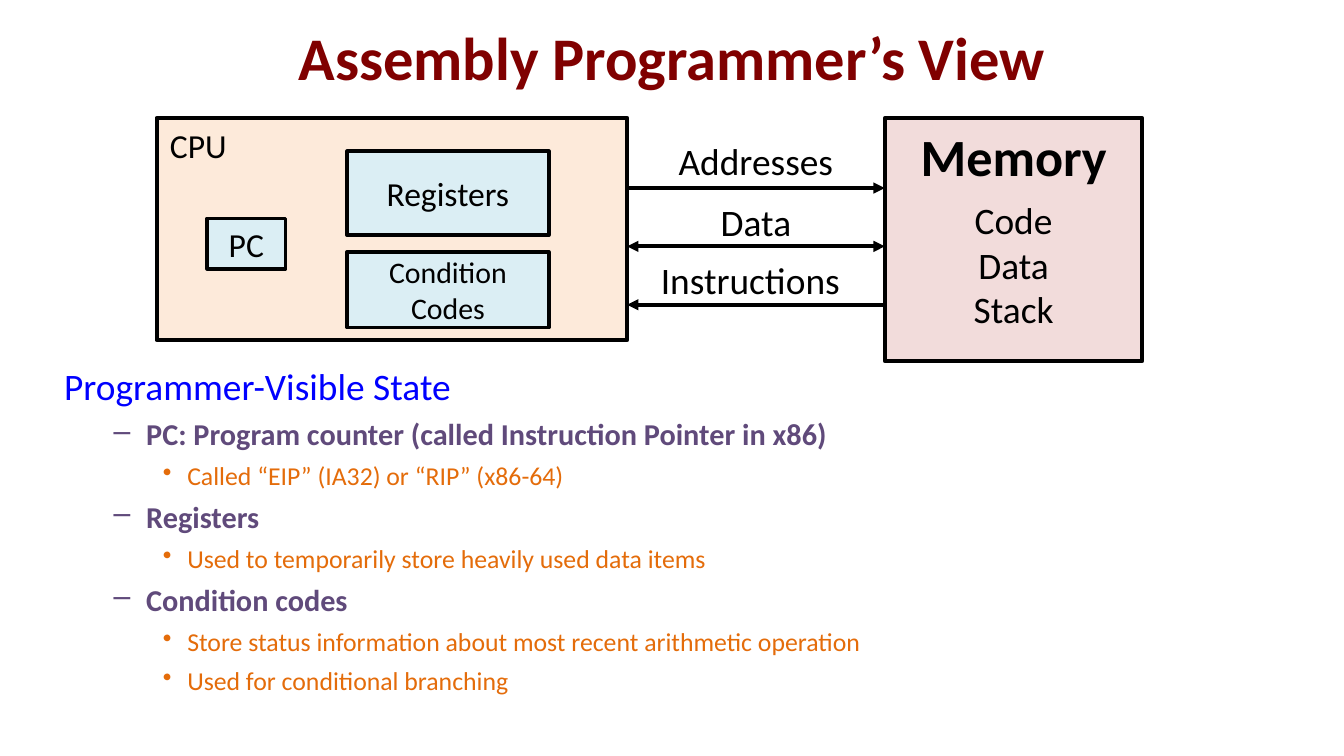
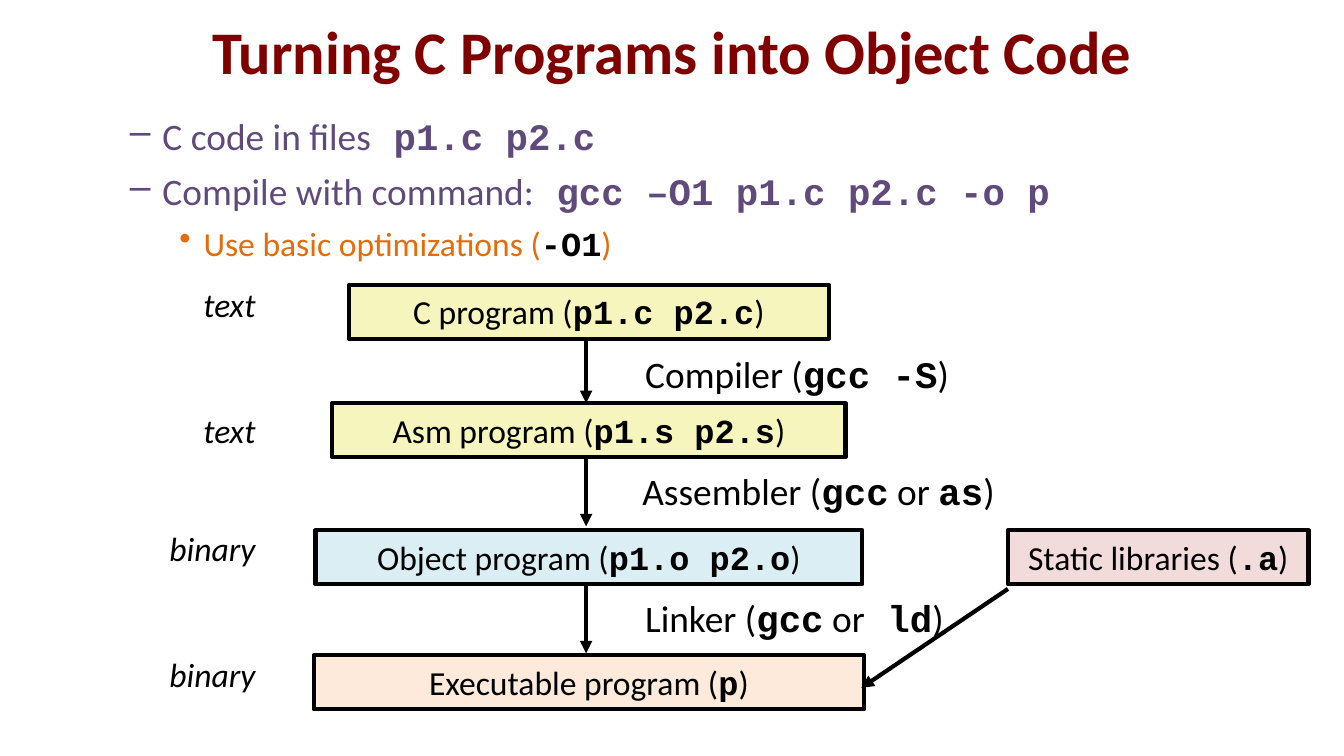
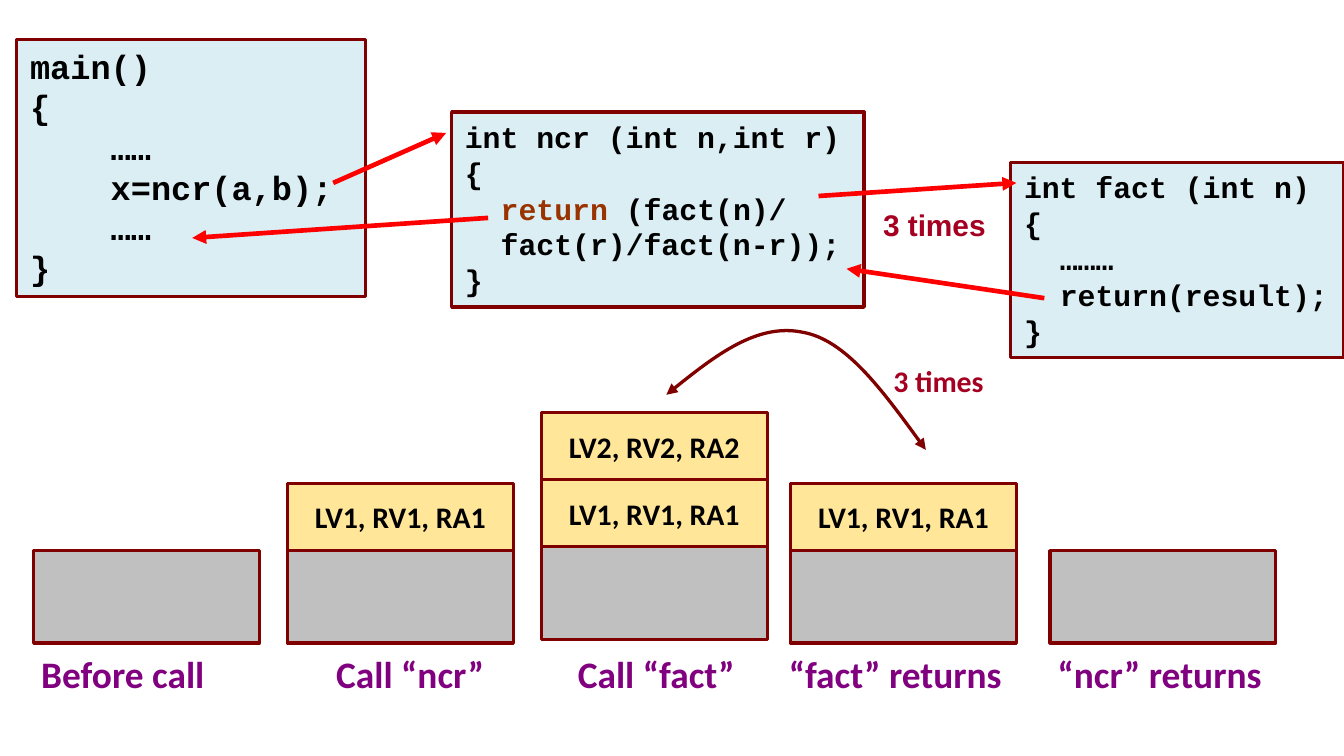
from pptx import Presentation
from pptx.dml.color import RGBColor as Rgb
from pptx.enum.shapes import MSO_CONNECTOR as Conn, MSO_SHAPE as Kind
from pptx.enum.text import MSO_ANCHOR as Anchor, PP_ALIGN as Align
from pptx.oxml.ns import qn
from pptx.util import Pt
from lxml.etree import SubElement as Sub

# ---- Shared look ----
HUES = {"ink": "000000", "wine": "800000", "blue": "0000FF", "plum": "604A7B",
        "rust": "E46C0A", "peach": "FDEADA", "sky": "DBEEF4", "rose": "F2DCDB",
        "lemon": "F6F5BD", "gold": "FFE699", "gray": "C0C0C0", "red": "FF0000",
        "brown": "993300", "ruby": "A50021", "grape": "800080"}
SANS, MONO = "Calibri", "Courier New"
# Outline level: left margin, first-line indent, bullet
LEVELS = [(18, -18, None), (44, -17.5, "–"), (66, -13, "•")]

# ---- Slide 1 content ----
VIEW = "Assembly Programmer’s View"
PARTS = [  # text, box, fill, line width, format
    ("CPU", (84, 63.25, 252, 119), "peach", 2.25, dict(mid=False, wrap=True, align="LEFT")),
    ("PC", (111, 117, 42, 27), "sky", 2, {}),
    ("Registers", (186, 81, 108, 45), "sky", 2, {}),
    ("Condition\nCodes", (186, 135, 108, 40.5), "sky", 2, dict(size=16)),
    ("Memory", (474, 63.25, 138, 130.25), "rose", 2, dict(size=28, bold=True, mid=False)),
]
BUSES = [("Addresses", "tail", 138, 70.5), ("Data", "both", 138, 103),
         ("Instructions", "head", 132, 134)]
STATE = [
    (0, "Programmer-Visible State"),
    (1, "PC: Program counter (called Instruction Pointer in x86)"),
    (2, "Called “EIP” (IA32) or “RIP” (x86-64)"),
    (1, "Registers"),
    (2, "Used to temporarily store heavily used data items"),
    (1, "Condition codes"),
    (2, "Store status information about most recent arithmetic operation"),
    (2, "Used for conditional branching"),
]
LOOKS = [dict(size=20, hue="blue"), dict(size=16.2, hue="plum", bold=True),
         dict(size=13.8, hue="rust")]

# ---- Slide 2 content (backticks mark code) ----
BUILD = "Turning C Programs into Object Code"
NOTES = [
    (1, "C code in files` p1.c p2.c`", dict(size=20, hue="plum", after=3)),
    (1, "Compile with command:` gcc –O1 p1.c p2.c -o p`", dict(size=20, hue="plum", after=3)),
    (2, "Use basic optimizations (`-O1`)", dict(size=18, hue="rust", code="ink", after=6)),
]
STAGES = [  # text, top, width, fill, form, top of form
    ("C program (`p1.c p2.c`)", 152.5, 257, "lemon", "text", 148.5),
    ("Asm program (`p1.s p2.s`)", 216, 275, "lemon", "text", 216),
    ("Object program (`p1.o p2.o`)", 284, 293, "sky", "binary", 279.5),
    ("Executable program (`p`)", 351, 295, "peach", "binary", 346.5),
]
TOOLS = [  # text, left, top, arrow start and end
    ("Compiler (`gcc -S`)", 338.5, 184.5, 176, 216),
    ("Assembler (`gcc` or `as`)", 337, 247.5, 240, 282),
    ("Linker (`gcc` or` ld`)", 338.5, 315.5, 307, 350),
]

# ---- Slide 3 content: code lines are (indent in characters, text) ----
CODE = [
    ((9, 21, 187, 138), 18,
     [(0, "main()"), (0, "{"), (4, "……"), (4, "x=ncr(a,b);"), (4, "……"), (0, "}")]),
    ((242, 60, 221, 104.5), 16,
     [(0, "int ncr (int n,int r)"), (0, "{"), (2, "`return` (fact(n)/"),
      (2, "fact(r)/fact(n-r));"), (0, "}")]),
    ((541.5, 87, 178.5, 104.5), 16,
     [(0, "int fact (int n)"), (0, "{"), (2, "………"), (2, "return(result);"), (0, "}")]),
]
CALLS = [((178.5, 98), (239, 71.25)), ((261.5, 116.75), (103, 127.5)),
         ((438.5, 105), (544.5, 98)), ((559.5, 159.75), (453.5, 144))]
FIRST, NEXT = "LV1, RV1, RA1", "LV2, RV2, RA2"
STACKS = [  # caption, caption left, caption width, stack left, base top, frames
    ("Before call", 15, 148, 18, 295, []),
    ("Call “ncr”", 173, 112, 154, 295, [FIRST]),
    ("Call “fact”", 302.5, 103, 290, 293, [FIRST, NEXT]),
    ("“fact” returns", 415.5, 139, 423.5, 295, [FIRST]),
    ("“ncr” returns", 559.5, 133, 562.5, 295, []),
]
TIMES = [((466, 107.25, 103, 27), "Arial"), ((471.5, 191, 103, 27), SANS)]
ARC = [(496, 241), (474.5, 211.5), (453, 182), (430, 178),
       (406, 173), (381, 192), (357, 211.5)]


# ---- Helpers ----
def tint(name):
    return Rgb.from_string(HUES[name])


def style(obj, **fmt):
    for key, val in fmt.items():
        setattr(obj, key, val)


def place(shape, box):
    style(shape, **dict(zip(("left", "top", "width", "height"), map(Pt, box))))


def write(par, text, size=18, hue="ink", bold=False, italic=False, font=SANS,
          code=None, align="LEFT"):
    """Fill one paragraph; odd pieces between backticks are code."""
    par.alignment = getattr(Align, align)
    for i, piece in enumerate(text.split("`")):
        if piece:
            run, mono = par.add_run(), i % 2 == 1
            run.text = piece
            style(run.font, name=MONO if mono else font, size=Pt(size),
                  bold=bold or mono, italic=italic)
            run.font.color.rgb = tint(code if mono and code else hue)


def fill(shape, text, mid=False, wrap=True, **fmt):
    frame = shape.text_frame
    style(frame, word_wrap=wrap, vertical_anchor=Anchor.MIDDLE if mid else Anchor.TOP)
    for i, row in enumerate(text.split("\n")):
        write(frame.add_paragraph() if i else frame.paragraphs[0], row, **fmt)


def label(slide, box, text, **fmt):
    fill(slide.shapes.add_textbox(*map(Pt, box)), text, **fmt)


def block(slide, box, hue, width, edge="ink"):
    shape = slide.shapes.add_shape(Kind.RECTANGLE, *map(Pt, box))
    shape.shadow.inherit = False
    shape.fill.solid()
    shape.fill.fore_color.rgb = tint(hue)
    stroke(shape, edge, width)
    return shape


def stroke(shape, hue, width, ends=None):
    shape.line.color.rgb = tint(hue)
    shape.line.width = Pt(width)
    for end in ("head", "tail"):
        if ends in (end, "both"):
            Sub(shape.element.spPr.get_or_add_ln(), qn(f"a:{end}End"), type="triangle")


def arrow(slide, start, end, hue="ink", width=2.25, ends="tail"):
    line = slide.shapes.add_connector(Conn.STRAIGHT, *map(Pt, start + end))
    stroke(line, hue, width, ends)
    Sub(line.element.spPr, qn("a:effectLst"))


def indent(par, left, first=0, mark=None):
    props = par._p.get_or_add_pPr()
    props.set("marL", str(Pt(left)))
    props.set("indent", str(Pt(first)))
    if mark:
        Sub(props, qn("a:buChar"), char=mark)
    else:
        Sub(props, qn("a:buNone"))


def outline(slide, box, rows, gap):
    frame = slide.shapes.add_textbox(*map(Pt, box)).text_frame
    frame.word_wrap = True
    for i, (level, text, look) in enumerate(rows):
        par = frame.add_paragraph() if i else frame.paragraphs[0]
        fmt = dict(look)
        style(par, line_spacing=gap, space_after=Pt(fmt.pop("after", 6)), level=level)
        indent(par, *LEVELS[level])
        write(par, text, **fmt)


def titled(text, box):
    slide = deck.slides.add_slide(deck.slide_layouts[5])
    place(slide.shapes.title, box)
    fill(slide.shapes.title, text, mid=True, size=32.4, hue="wine", bold=True,
         align="CENTER")
    return slide


def curve(slide, dots, hue, width):
    """Turn each three points after the start into one Bezier piece."""
    dots = [(Pt(x), Pt(y)) for x, y in dots]
    pen = slide.shapes.build_freeform(*dots[0], scale=1.0)
    pen.add_line_segments(dots[1:], close=False)
    shape = pen.convert_to_shape()
    shape.shadow.inherit = False
    shape.fill.background()
    stroke(shape, hue, width, "both")
    legs = list(shape.element.iter(qn("a:lnTo")))
    track = legs[0].getparent()
    for i in range(0, len(legs), 3):
        bend = Sub(track, qn("a:cubicBezTo"))
        for leg in legs[i:i + 3]:
            bend.append(leg[0])
            track.remove(leg)


deck = Presentation()
style(deck, slide_width=Pt(720), slide_height=Pt(405))

# ---- Slide 1: processor and memory ----
page = titled(VIEW, (36, 6.5, 648, 47.5))
for text, box, hue, width, fmt in PARTS:
    fill(block(page, box, hue, width), text,
         **{**dict(mid=True, wrap=False, align="CENTER"), **fmt})
label(page, (498, 102, 90, 80), "Code\nData\nStack", size=20, align="CENTER")
for i, (text, ends, width, top) in enumerate(BUSES):
    y = 100.75 + 31.25 * i
    arrow(page, (336, y), (474, y), width=2, ends=ends)
    label(page, (336, top, width, 31), text, size=20, align="CENTER")
outline(page, (27.25, 193.5, 456, 201.5),
        [(level, text, LOOKS[level]) for level, text in STATE], 0.9)

# ---- Slide 2: build steps ----
page = titled(BUILD, (36, 5.75, 648, 42.5))
outline(page, (36, 54.75, 628, 94.5), NOTES, 1.1)
for text, left, top, start, end in TOOLS:
    arrow(page, (314, start), (314, end))
    label(page, (left, top, 240, 31), text, size=20)
for text, top, width, hue, form, high in STAGES:
    fill(block(page, (315.5 - width / 2, top, width, 29), hue, 2.25), text, align="CENTER")
    label(page, (65.5, high, 78.5, 29), form, italic=True, align="RIGHT")
fill(block(page, (540, 284, 161, 29), "rose", 2.25), "Static libraries (`.a`)",
     align="CENTER")
arrow(page, (540, 315.5), (461.5, 368.5))

# ---- Slide 3: calls and their stacks ----
page = deck.slides.add_slide(deck.slide_layouts[6])
for box, size, rows in CODE:
    shape = block(page, box, "sky", 1.75, "wine")
    fill(shape, "\n".join(text for _, text in rows), size=size, font=MONO,
         bold=True, code="brown")
    for par, (chars, _) in zip(shape.text_frame.paragraphs, rows):
        indent(par, chars * size * 0.6)
for start, end in CALLS:
    arrow(page, start, end, "red", 2.5)
for text, left, width, x, base, frames in STACKS:
    block(page, (x, base, 121, 49.5), "gray", 1.75, "wine")
    for i, frame in enumerate(frames, 1):
        fill(block(page, (x, base - 36 * i, 121, 36), "gold", 1.75, "wine"), frame,
             mid=True, wrap=False, size=16, bold=True, align="CENTER")
    label(page, (left, 345.5, width, 31.5), text, size=20, hue="grape", bold=True)
curve(page, ARC, "wine", 1.75)
for box, font in TIMES:
    label(page, box, "3 times", size=16, hue="ruby", bold=True, font=font)

deck.save("out.pptx")
